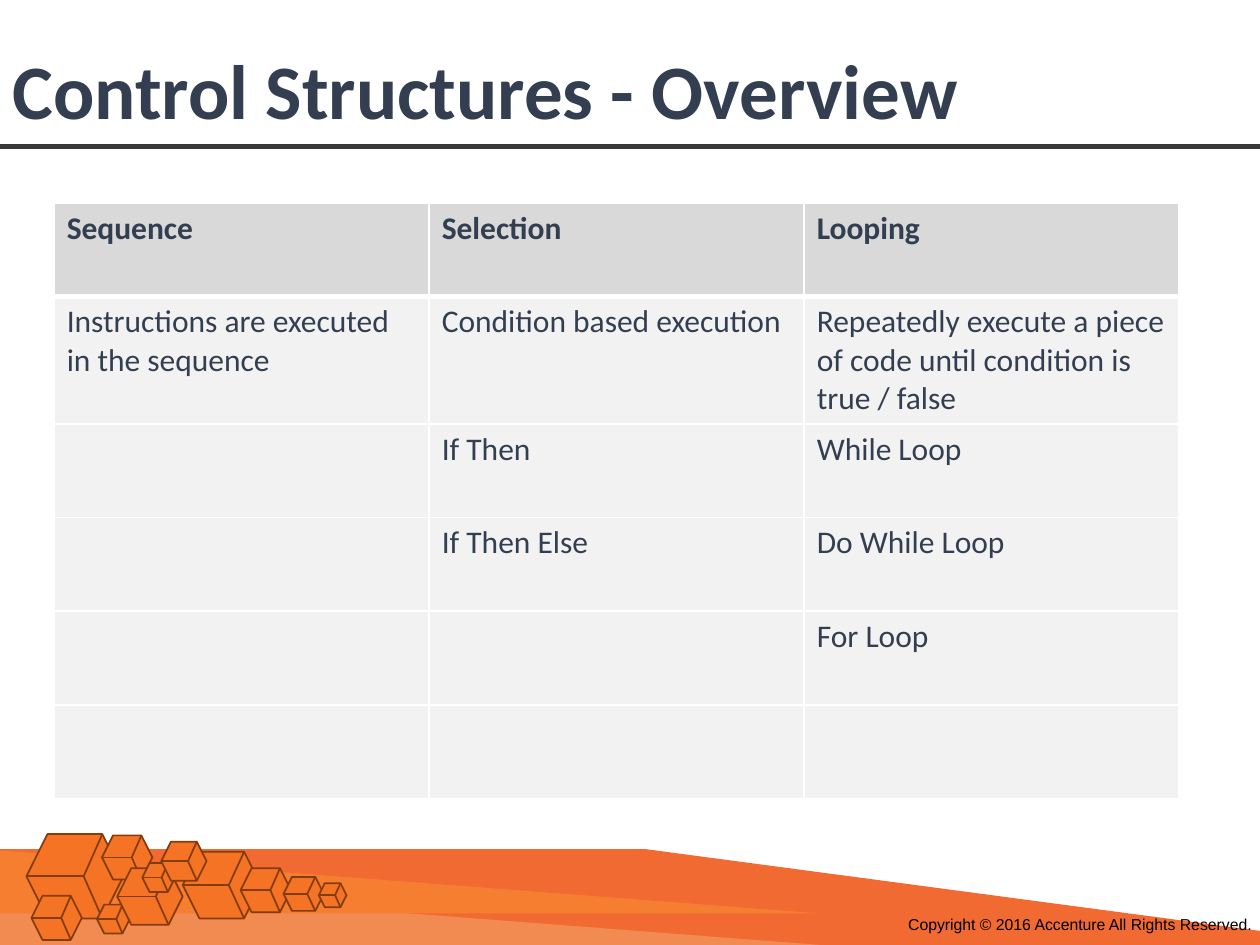
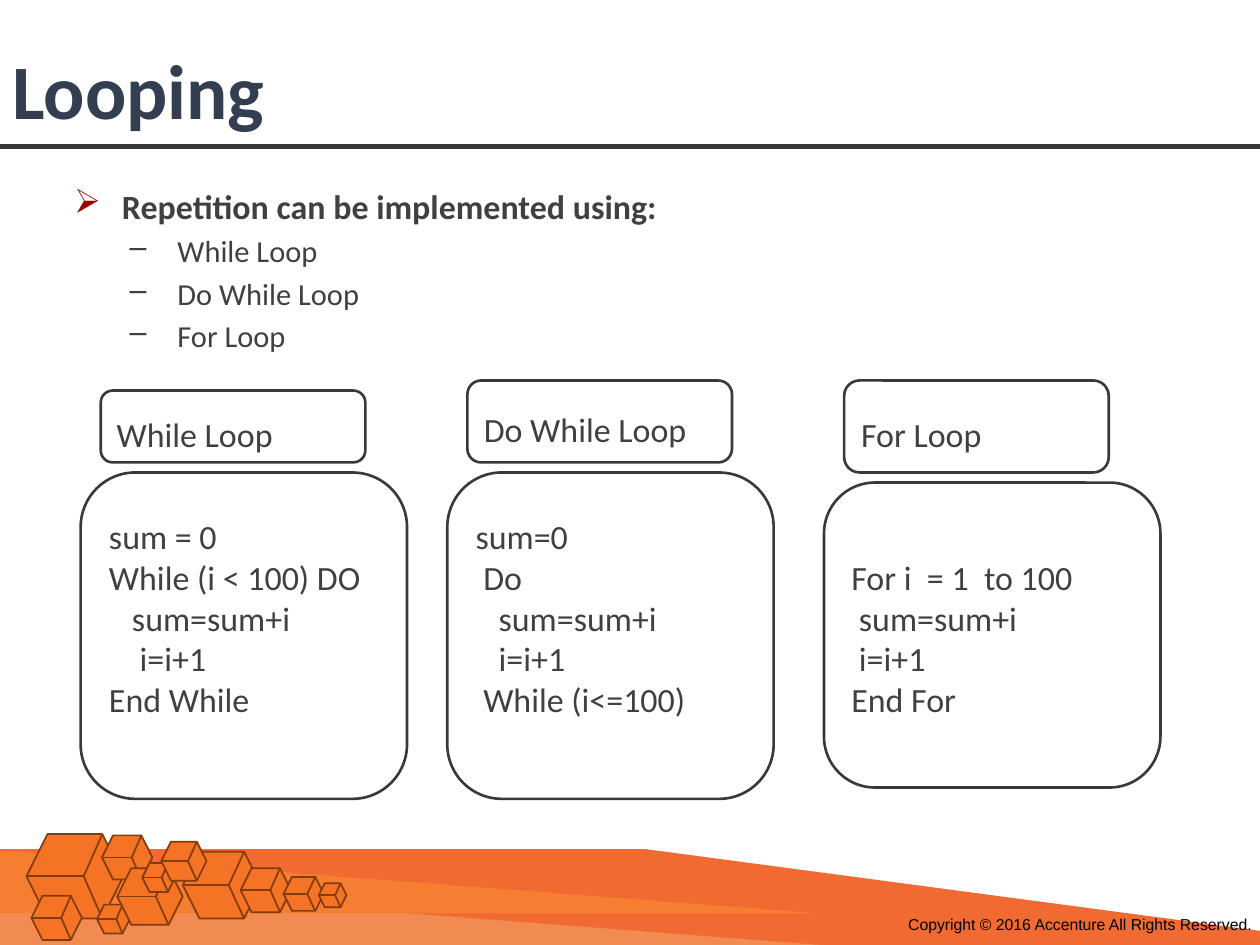
from lxml import etree
from pptx import Presentation
from pptx.dml.color import RGBColor
from pptx.enum.shapes import MSO_CONNECTOR, MSO_SHAPE
from pptx.enum.text import MSO_ANCHOR
from pptx.oxml.ns import qn
from pptx.util import Inches, Pt

STRAIGHT = MSO_CONNECTOR.STRAIGHT
HEXAGON, TRIANGLE, ROUNDED = MSO_SHAPE.HEXAGON, MSO_SHAPE.RIGHT_TRIANGLE, MSO_SHAPE.ROUNDED_RECTANGLE
TOP, MIDDLE, BOTTOM = MSO_ANCHOR.TOP, MSO_ANCHOR.MIDDLE, MSO_ANCHOR.BOTTOM

# The slide is a grid of 10 columns by 7.5 rows, each cell one inch square
COLS, ROWS = 10, 7.5
NAVY, GREY, RULE, WHITE = "333F50", "404040", "3B3838", "FFFFFF"
CUBE_FILL, CUBE_EDGE = "F47324", "843C0B"
BODY_SIZE = 19.4
CORNER = 0.167
ARC_INSET = 0.293  # share of a corner radius that the text area gives up

# Cubes as left, top, width, height within the footer band
CUBES = [
    (0.21, 0, 0.77, 0.67), (0.77, 0.56, 0.26, 0.23), (0.81, 0.01, 0.4, 0.35),
    (0.93, 0.27, 0.52, 0.45), (0.25, 0.49, 0.4, 0.35), (1.13, 0.23, 0.26, 0.23),
    (1.45, 0.14, 0.62, 0.53), (1.28, 0.06, 0.36, 0.31), (1.91, 0.27, 0.4, 0.35),
    (2.25, 0.34, 0.32, 0.27), (2.53, 0.39, 0.22, 0.19),
]

STRUCTURES = [
    ("Sequence", "Selection", "Looping"),
    ("Instructions are executed in the sequence", "Condition based execution",
     "Repeatedly execute a piece of code until condition is true / false"),
    ("", "If Then", "While Loop"),
    ("", "If Then Else", "Do While Loop"),
    ("", "", "For Loop"),
    ("", "", ""),
]

# Label, left, label top, panel top, panel width, panel height, code lines
LOOPS = [
    ("While Loop", 0, 0.08, 0.73, 2.59, 2.59,
     ["sum = 0", "While (i < 100) DO", "   sum=sum+i", "    i=i+1", "End While"]),
    ("Do While Loop", 2.91, 0, 0.73, 2.59, 2.59,
     ["sum=0", " Do", "   sum=sum+i", "   i=i+1", " While (i<=100)"]),
    ("For Loop", 5.9, 0, 0.81, 2.67, 2.42,
     ["For i  = 1  to 100", " sum=sum+i", " i=i+1", "End For"]),
]


def rgb(color):
    return RGBColor.from_string(color)


def grid(*cells):
    return [Inches(c) for c in cells]


def add_text(tf, text, size=BODY_SIZE, color=GREY, bold=False, font="Calibri",
             line=None, before=None, bullet=None, bullet_color=GREY, indent=0):
    """Add one paragraph, filling the empty first one if it is free."""
    p = tf.paragraphs[0] if not tf.paragraphs[0].runs else tf.add_paragraph()
    if bullet:
        pPr = p._p.get_or_add_pPr()
        pPr.set("marL", str(Inches(indent)))
        pPr.set("indent", str(-Inches(0.38)))
        clr = etree.SubElement(pPr, qn("a:buClr"))
        etree.SubElement(clr, qn("a:srgbClr"), val=bullet_color)
        etree.SubElement(pPr, qn("a:buChar"), char=bullet)
    if line:
        p.line_spacing = line
    if before:
        p.space_before = Pt(before)
    r = p.add_run()
    r.text = text
    r.font.size, r.font.name, r.font.bold = Pt(size), font, bold
    r.font.color.rgb = rgb(color)


def add_box(s, box, wrap=True):
    tf = s.shapes.add_textbox(*grid(*box)).text_frame
    tf.word_wrap = wrap
    return tf


def style(sp, fill=None, line=None, width=1):
    sp.shadow.inherit = False
    if fill:
        sp.fill.solid()
        sp.fill.fore_color.rgb = rgb(fill)
    else:
        sp.fill.background()
    if line:
        sp.line.color.rgb = rgb(line)
        sp.line.width = Pt(width)
    else:
        sp.line.fill.background()
    return sp


def add_line(shapes, start, end, color, width=1):
    c = shapes.add_connector(STRAIGHT, *grid(*start, *end))
    c.line.color.rgb = rgb(color)
    c.line.width = Pt(width)
    etree.SubElement(c._element.spPr, qn("a:effectLst"))


def add_cube(shapes, x, y, w, h):
    """A hexagon with three edges that meet at a hub."""
    style(shapes.add_shape(HEXAGON, *grid(x, y, w, h)), CUBE_FILL, CUBE_EDGE)
    hub = (x + 0.59 * w, y + h / 2)
    corner = x + w - 0.25 * h
    for start in ((x, y + h / 2), (corner, y), (corner, y + h)):
        add_line(shapes, start, hub, CUBE_EDGE)


def footer(s, x, y, w, h):
    # Orange band, tapering past the right edge
    bottom, band_top = y + h, y + 0.12
    corners = [(x, bottom), (x + 1.084 * w, bottom), (x + 0.513 * w, band_top), (x, band_top)]
    fb = s.shapes.build_freeform(*grid(*corners[0]), scale=1.0)
    fb.add_line_segments([grid(*c) for c in corners[1:]], close=True)
    style(fb.convert_to_shape(), "F16A32")
    # Lighter wedges
    for top, color in ((bottom - 0.5, "F18B52"), (bottom - 0.75, "F57E31")):
        style(s.shapes.add_shape(TRIANGLE, *grid(x, top, 0.651 * w, 0.5)), color)
    # Cubes
    cubes = s.shapes.add_group_shape().shapes
    for left, top, width, height in CUBES:
        add_cube(cubes, x + left, y + top, width, height)
    # Copyright line
    tf = add_box(s, (x + 0.711 * w, bottom - 0.29, 3, 0.25), wrap=False)
    add_text(tf, "Copyright © 2016 Accenture All Rights Reserved.", size=9, color="000000", font="Arial")


def header(s, title, x, y, w, h):
    tf = add_box(s, (x, y + 0.37, w, 0.62))
    add_text(tf, title, size=44, color=NAVY, bold=True, line=0.9)
    add_line(s.shapes, (x, y + h), (x + w, y + h), RULE, 3)


def new_slide(prs, title):
    s = prs.slides.add_slide(prs.slide_layouts[6])
    footer(s, 0, 6.62, COLS, ROWS - 6.62)
    header(s, title, 0, 0, COLS, 1.16)
    return s


def set_borders(cell, **widths):
    tcPr = cell._tc.get_or_add_tcPr()
    for side in "LRTB":
        ln = etree.SubElement(tcPr, qn(f"a:ln{side}"), w=str(Pt(widths.get(side, 1))))
        fill = etree.SubElement(ln, qn("a:solidFill"))
        etree.SubElement(fill, qn("a:srgbClr"), val=WHITE)


def structure_table(s, x, y, w, h):
    n_rows, n_cols = len(STRUCTURES), len(STRUCTURES[0])
    frame = s.shapes.add_table(n_rows, n_cols, *grid(x, y, w, h))
    table = frame.table
    table.horz_banding = False
    tall = 1.01  # the row of descriptions
    for col in table.columns:
        col.width = Inches(w / n_cols)
    for i, texts in enumerate(STRUCTURES):
        table.rows[i].height = Inches(tall if i == 1 else (h - tall) / (n_rows - 1))
        for j, text in enumerate(texts):
            cell = table.cell(i, j)
            set_borders(cell, T=3 if i == 1 else 1, B=3 if i == 0 else 1)
            cell.fill.solid()
            cell.fill.fore_color.rgb = rgb("F2F2F2" if i else "D9D9D9")
            if text:
                add_text(cell.text_frame, text, size=18, color=NAVY, bold=i == 0)


def loop_list(s, x, y, w, h):
    tf = add_box(s, (x, y, w, h))
    add_text(tf, "Repetition can be implemented using:", bold=True,
             bullet="➢", bullet_color="990000", indent=0.38)
    for name in ("While Loop", "Do While Loop", "For Loop"):
        add_text(tf, name, size=17.4, before=3.5, bullet="–", indent=0.82)


def rounded_box(s, box, anchor):
    sp = style(s.shapes.add_shape(ROUNDED, *grid(*box)), line=RULE, width=1.5)
    sp.adjustments[0] = CORNER
    tf = sp.text_frame
    tf.word_wrap = True
    tf.vertical_anchor = anchor
    return tf


def add_left_text(tf, text, **fmt):
    add_text(tf, text, **fmt)
    tf.paragraphs[-1].alignment = 1


def loop_cards(s, x, y):
    code_end = 2.69  # the last code lines of all cards sit level
    for name, left, label_top, panel_top, w, h, code in LOOPS:
        # Code panel
        tf = rounded_box(s, (x + left, y + panel_top, w, h), BOTTOM)
        tf.margin_bottom = Inches(panel_top + h - code_end - ARC_INSET * CORNER * min(w, h))
        for text in code:
            add_left_text(tf, text)
        # Label above it
        label = (x + left + 0.16, y + label_top, 2.1, panel_top - 0.08 - label_top)
        add_left_text(rounded_box(s, label, MIDDLE), name, line=1.35)


def main():
    prs = Presentation()
    prs.slide_width, prs.slide_height = grid(COLS, ROWS)

    s = new_slide(prs, "Control Structures - Overview")
    structure_table(s, 0.43, 1.61, 8.93, 4.73)

    s = new_slide(prs, "Looping")
    loop_list(s, 0.49, 1.42, 8.4, 1.48)
    loop_cards(s, 0.64, 3.02)

    prs.save("out.pptx")


if __name__ == "__main__":
    main()
